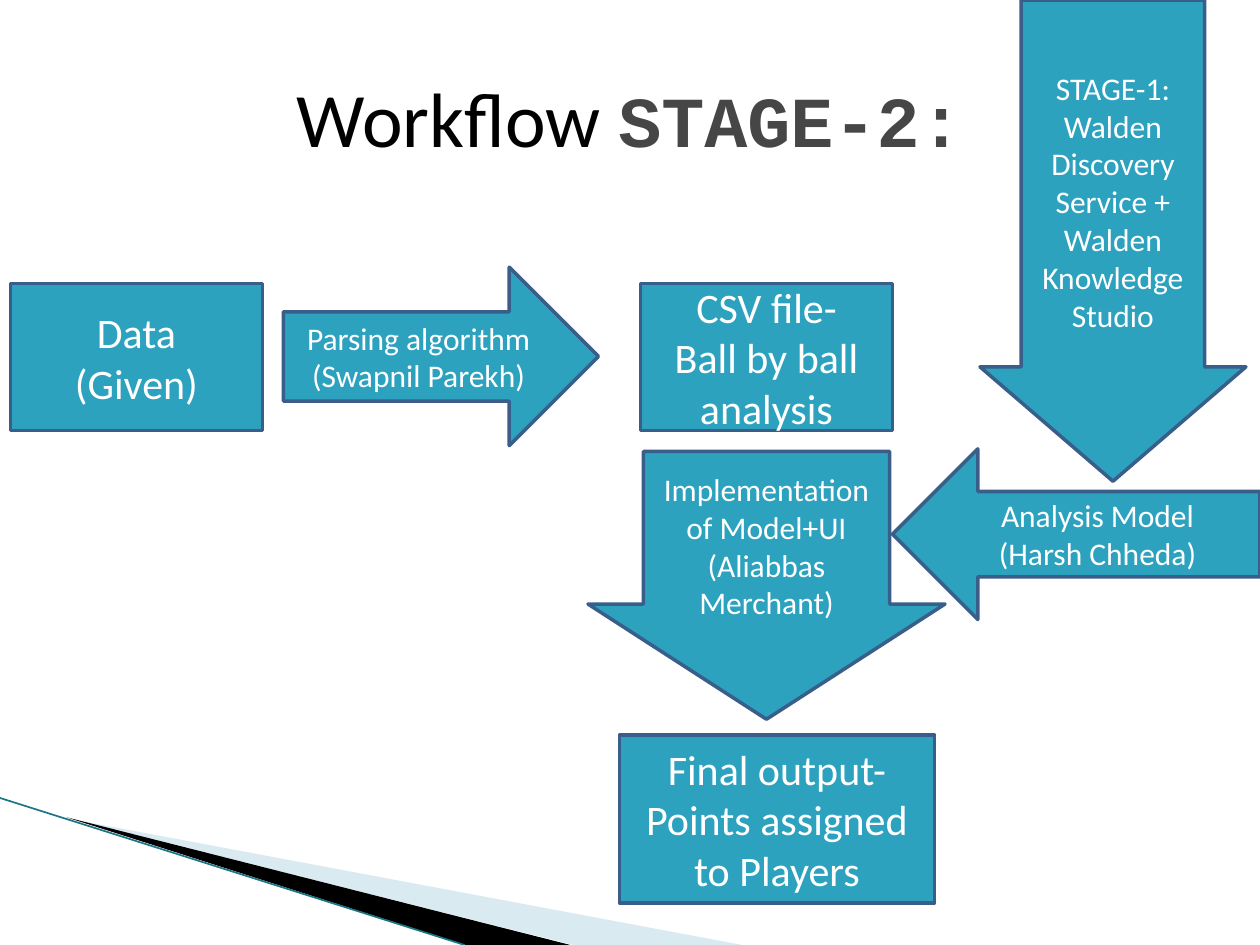
from lxml.etree import SubElement
from pptx import Presentation
from pptx.dml.color import RGBColor
from pptx.enum.shapes import MSO_CONNECTOR, MSO_SHAPE
from pptx.enum.text import MSO_ANCHOR, PP_ALIGN
from pptx.oxml.ns import qn
from pptx.util import Pt


def color(hex_string):
    return RGBColor.from_string(hex_string)


def add_run(paragraph, text, size, hex_string, font_name="Calibri", bold=False):
    run = paragraph.add_run()
    run.text = text
    run.font.name = font_name
    run.font.size = Pt(size)
    run.font.bold = bold
    run.font.color.rgb = color(hex_string)


presentation = Presentation()
presentation.slide_width = Pt(720)
presentation.slide_height = Pt(540)
slide = presentation.slides.add_slide(presentation.slide_layouts[6])

wedges = [
    ("A0CBDC", 40, [(39.6, 468), (424, 540), (328.3, 540)]),
    ("000000", 100, [(38.2, 467.3), (326, 540), (265.5, 540)]),
]
for fill, opacity, points in wedges:
    builder = slide.shapes.build_freeform(*points[0], scale=Pt(1))
    builder.add_line_segments(points[1:], close=True)
    wedge = builder.convert_to_shape()
    wedge.shadow.inherit = False
    wedge.fill.solid()
    wedge.fill.fore_color.rgb = color(fill)
    wedge.line.fill.background()
    if opacity < 100:
        fill_color = wedge.element.spPr.find(".//" + qn("a:srgbClr"))
        SubElement(fill_color, qn("a:alpha"), val=str(opacity * 1000))

edge = slide.shapes.add_connector(MSO_CONNECTOR.STRAIGHT, Pt(0), Pt(456), Pt(265.5), Pt(540))
edge.line.color.rgb = color("1B7587")
edge.line.width = Pt(0.95)
SubElement(edge.element.spPr, qn("a:effectLst"))

title = slide.shapes.add_textbox(Pt(36), Pt(21.6), Pt(648), Pt(90))
title.text_frame.word_wrap = True
title.text_frame.vertical_anchor = MSO_ANCHOR.MIDDLE
title_paragraph = title.text_frame.paragraphs[0]
title_paragraph.alignment = PP_ALIGN.CENTER
add_run(title_paragraph, "Workflow ", 44, "000000")
add_run(title_paragraph, "STAGE-2:", 41, "464646", "Courier New", True)

box, right, down, left = (
    MSO_SHAPE.RECTANGLE,
    MSO_SHAPE.RIGHT_ARROW,
    MSO_SHAPE.DOWN_ARROW,
    MSO_SHAPE.LEFT_ARROW,
)
steps = [
    (box, 6, 162, 144, 84, ["Data", "(Given)"]),
    (right, 162, 152.7, 180, 102, ["Parsing algorithm", "(Swapnil Parekh)"]),
    (box, 366, 162, 144, 84, ["CSV file-", "Ball by ball analysis"]),
    (down, 336, 258, 204, 153, ["Implementation", "of Model+UI", "(Aliabbas Merchant)"]),
    (left, 510, 256.5, 210, 97.5, ["Analysis Model", "(Harsh Chheda)"]),
    (box, 354, 420, 180, 96, ["Final output-", "Points assigned to Players"]),
    (down, 560, 0, 152, 275, ["STAGE-1:", "Walden", "Discovery Service +", "Walden Knowledge Studio"]),
]
for kind, x, y, width, height, lines in steps:
    step = slide.shapes.add_shape(kind, Pt(x), Pt(y), Pt(width), Pt(height))
    if kind == down:
        step.adjustments[0] = 0.69
        step.adjustments[1] = 0.43
    step.shadow.inherit = False
    step.fill.solid()
    step.fill.fore_color.rgb = color("2DA2BF")
    step.line.color.rgb = color("395E89")
    step.line.width = Pt(2)
    frame = step.text_frame
    frame.word_wrap = True
    frame.vertical_anchor = MSO_ANCHOR.MIDDLE
    for index, line in enumerate(lines):
        paragraph = frame.add_paragraph() if index else frame.paragraphs[0]
        paragraph.alignment = PP_ALIGN.CENTER
        add_run(paragraph, line, 24 if kind == box else 18, "FFFFFF")

presentation.save("out.pptx")
